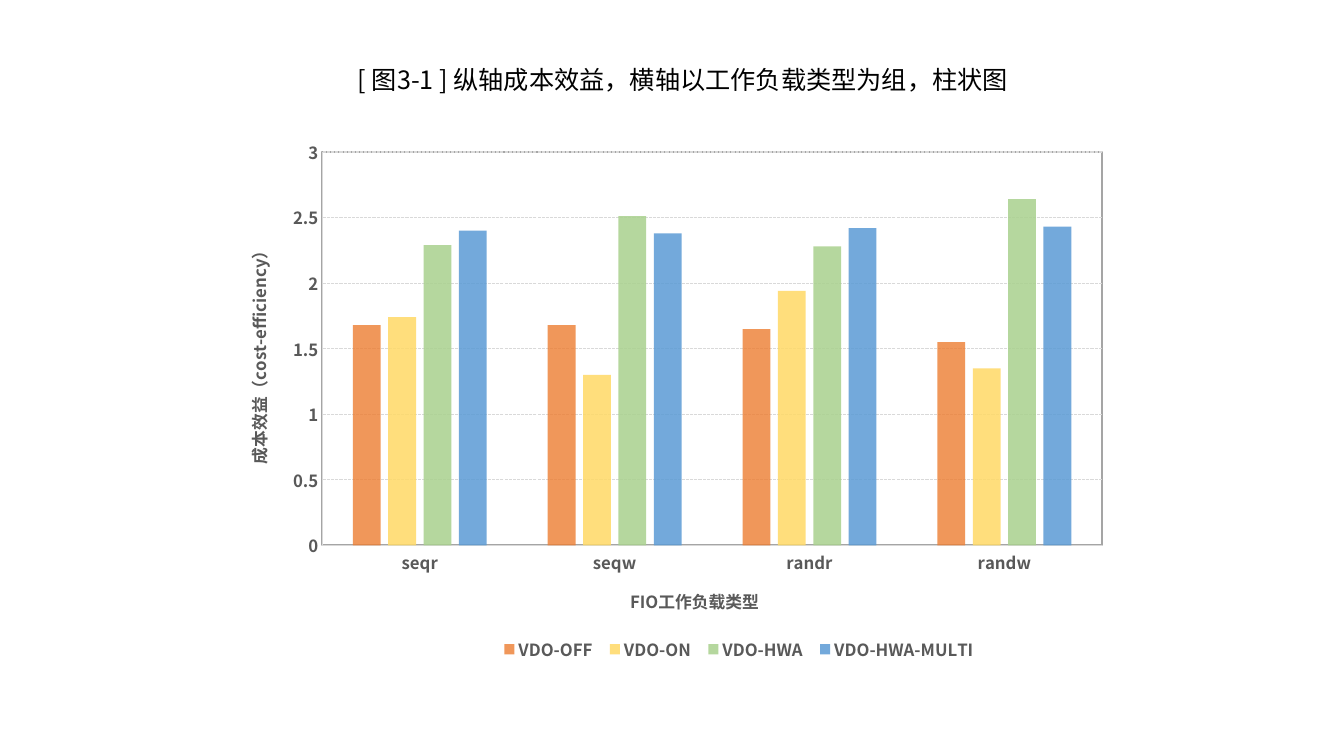
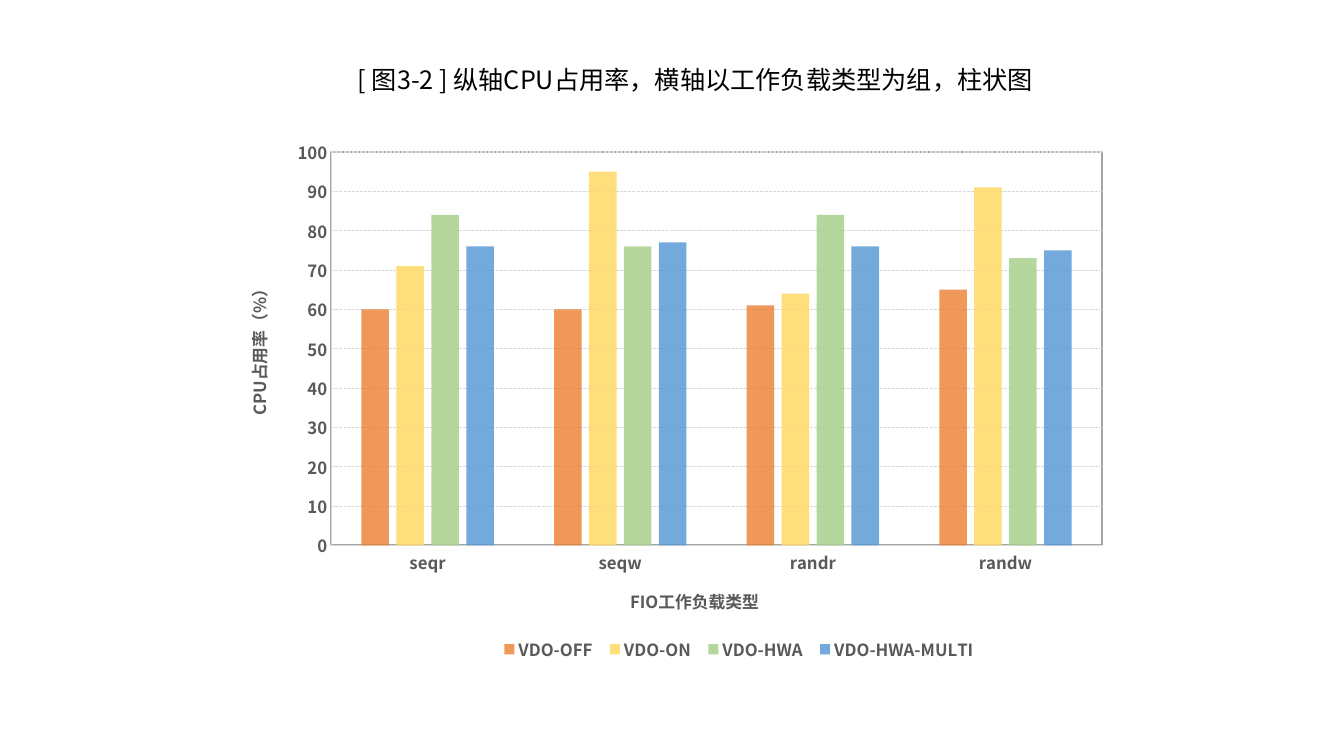
from lxml import etree
from pptx import Presentation
from pptx import util as u
from pptx.chart.data import CategoryChartData
from pptx.dml.color import RGBColor
from pptx.enum import chart as charts, dml, text
from pptx.oxml import parse_xml
from pptx.oxml.ns import nsdecls, qn

FONT = "Noto Sans CJK SC"
COLORS = {
    "title": "000000", "label": "595959", "rule": "D9D9D9", "frame": "A5A5A5",
    "VDO-OFF": "ED7D31", "VDO-ON": "FFD966",
    "VDO-HWA": "A9D18E", "VDO-HWA-MULTI": "5B9BD5",
}
OPACITY = {"VDO-OFF": 80}  # percent; the other series use 85
WORKLOADS = ["seqr", "seqw", "randr", "randw"]

# One entry per slide; plot and title places are fractions of the chart
FIGURES = [
    {
        "title": "[ 图3-1 ] 纵轴成本效益，横轴以工作负载类型为组，柱状图",
        "axis": "成本效益（cost-efficiency）", "axis_top": 0.2,
        "top": 3, "step": 0.5, "plot_left": 0.11,
        "values": {
            "VDO-OFF": [1.68, 1.68, 1.65, 1.55],
            "VDO-ON": [1.74, 1.3, 1.94, 1.35],
            "VDO-HWA": [2.29, 2.51, 2.28, 2.64],
            "VDO-HWA-MULTI": [2.4, 2.38, 2.42, 2.43],
        },
    },
    {
        "title": "[ 图3-2 ] 纵轴CPU占用率，横轴以工作负载类型为组，柱状图",
        "axis": "CPU占用率（%）", "axis_top": 0.27,
        "top": 100, "step": 10, "plot_left": 0.12,
        "values": {
            "VDO-OFF": [60, 60, 61, 65],
            "VDO-ON": [71, 95, 64, 91],
            "VDO-HWA": [84, 76, 84, 73],
            "VDO-HWA-MULTI": [76, 77, 76, 75],
        },
    },
]


def rgb(name):
    return RGBColor.from_string(COLORS[name])


def place(element, index, inner=False, **fractions):
    """Give a chart part a manual layout, in fractions of the chart."""
    for old in element.findall(qn("c:layout")):
        element.remove(old)
    layout = parse_xml(f"<c:layout {nsdecls('c')}><c:manualLayout/></c:layout>")
    settings = {"layoutTarget": "inner"} if inner else {}
    settings.update(xMode="edge", yMode="edge", **fractions)
    for tag, value in settings.items():
        etree.SubElement(layout[0], qn(f"c:{tag}")).set("val", str(value))
    element.insert(index, layout)


class FigureDeck:
    def __init__(self):
        self.deck = Presentation()
        self.deck.slide_width, self.deck.slide_height = u.Cm(33.87), u.Cm(19.05)
        self.page = None

    def style(self, font, size, color, bold=False):
        font.size, font.bold, font.name = u.Pt(size), bold, FONT
        font.color.rgb = rgb(color)
        etree.SubElement(font._rPr, qn("a:ea")).set("typeface", FONT)

    def rule(self, line, color, width=0.75):
        line.color.rgb, line.width = rgb(color), u.Pt(width)

    def add_page(self, title):
        self.page = self.deck.slides.add_slide(self.deck.slide_layouts[5])
        box = self.page.shapes.title
        box.left, box.top, box.width, box.height = (
            u.Cm(8.76), u.Cm(1.5), u.Cm(19.46), u.Cm(1.02))
        frame = box.text_frame
        frame.text, frame.word_wrap = title, True
        frame.auto_size = text.MSO_AUTO_SIZE.SHAPE_TO_FIT_TEXT
        frame.vertical_anchor = text.MSO_ANCHOR.TOP
        para = frame.paragraphs[0]
        para.alignment = text.PP_ALIGN.LEFT
        self.style(para.font, 18, "title")

    def format_axis(self, axis, title, x, y):
        axis.major_tick_mark = axis.minor_tick_mark = charts.XL_TICK_MARK.NONE
        self.style(axis.tick_labels.font, 12, "label", True)
        self.rule(axis.format.line, "rule")
        frame = axis.axis_title.text_frame
        frame.text = title
        self.style(frame.paragraphs[0].font, 12, "label", True)
        place(axis.axis_title._element, 1, x=x, y=y)
        return frame

    def add_columns(self, figure):
        data = CategoryChartData()
        data.categories = WORKLOADS
        for name, values in figure["values"].items():
            data.add_series(name, values)
        chart = self.page.shapes.add_chart(
            charts.XL_CHART_TYPE.COLUMN_CLUSTERED,
            u.Cm(5.64), u.Cm(3.28), u.Cm(22.58), u.Cm(13.77), data).chart
        chart.has_title = False
        self.style(chart.font, 10, "title")

        # Columns
        plot = chart.plots[0]
        plot.gap_width, plot.overlap, plot.vary_by_categories = 219, -27, False
        for series in plot.series:
            fill = series.format.fill
            fill.solid()
            fill.fore_color.rgb = rgb(series.name)
            color = series._element.find(".//" + qn("a:srgbClr"))
            alpha = OPACITY.get(series.name, 85) * 1000
            etree.SubElement(color, qn("a:alpha")).set("val", str(alpha))

        # Axes
        self.format_axis(chart.category_axis, "FIO工作负载类型", 0.45, 0.83)
        axis = chart.value_axis
        frame = self.format_axis(axis, figure["axis"], 0.02, figure["axis_top"])
        frame._txBody.bodyPr.set("rot", "-5400000")
        frame._txBody.bodyPr.set("vert", "horz")
        axis.minimum_scale, axis.maximum_scale = 0, figure["top"]
        axis.major_unit = figure["step"]
        axis.tick_labels.number_format = "General"
        axis.tick_labels.number_format_is_linked = False
        grid = axis.major_gridlines.format.line
        self.rule(grid, "rule")
        grid.dash_style = dml.MSO_LINE.SQUARE_DOT

        # Framed plot area
        area = chart._chartSpace.chart.plotArea
        left = figure["plot_left"]
        place(area, 0, inner=True, x=left, y=0.04, w=round(0.98 - left, 2), h=0.72)
        area.append(parse_xml(
            f"<c:spPr {nsdecls('c', 'a')}><a:noFill/><a:ln w='{u.Pt(1.5)}'><a:solidFill>"
            f"<a:srgbClr val='{COLORS['frame']}'/></a:solidFill></a:ln></c:spPr>"))

        # Legend
        chart.has_legend = True
        legend = chart.legend
        legend.position = charts.XL_LEGEND_POSITION.BOTTOM
        legend.include_in_layout = False
        self.style(legend.font, 12, "label", True)
        place(legend._element, 1, x=0.3, y=0.92, w=0.55, h=0.06)


def main():
    show = FigureDeck()
    for figure in FIGURES:
        show.add_page(figure["title"])
        show.add_columns(figure)
    show.deck.save("out.pptx")


if __name__ == "__main__":
    main()
